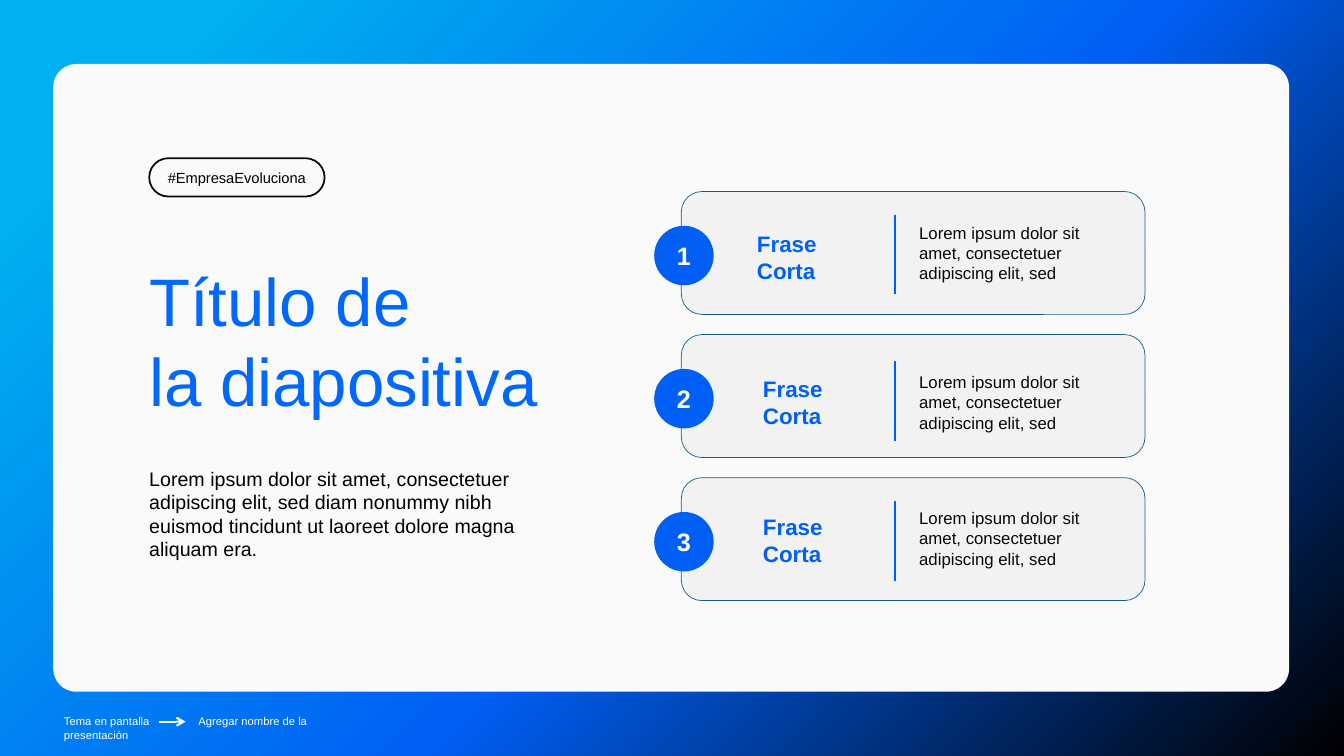
from copy import deepcopy
from lxml.etree import SubElement
from pptx import Presentation
from pptx.dml.color import RGBColor
from pptx.enum.shapes import MSO_CONNECTOR, MSO_SHAPE
from pptx.enum.text import MSO_ANCHOR, PP_ALIGN
from pptx.oxml.ns import qn
from pptx.util import Pt

BLUE = RGBColor(0x00, 0x5F, 0xF4)
TITLE = RGBColor(0x00, 0x67, 0xFF)
CYAN = RGBColor(0x00, 0xB0, 0xF0)
BLACK = RGBColor(0x00, 0x00, 0x00)
INK = RGBColor(0x0D, 0x06, 0x0C)
TEAL = RGBColor(0x15, 0x60, 0x82)
PAPER = RGBColor(0xFA, 0xFA, 0xFA)
GREY = RGBColor(0xF2, 0xF2, 0xF2)
WHITE = RGBColor(0xFF, 0xFF, 0xFF)

LOREM = "Lorem ipsum dolor sit amet, consectetuer adipiscing elit, sed"
# label left, label top, note top, rule top
ROWS = [
    (540.7, 164.2, 159.1, 153.4),
    (545, 267.8, 265.7, 257.8),
    (545, 366.5, 362.9, 357.8),
]
CARD_TOP, DISC_TOP, STEP = 136.8, 161.3, 102.2


class Deck:
    font = "Arial"
    space = 1.0

    def __init__(self, prs):
        self.slide = prs.slides.add_slide(prs.slide_layouts[5])
        self.shapes = self.slide.shapes

    def back(self, *stops):
        """Fill the background with a diagonal gradient of three stops."""
        fill = self.slide.background.fill
        fill.gradient()
        fill.gradient_angle = 315
        nodes = next(self.slide.element.iter(qn("a:gsLst")))
        nodes.append(deepcopy(nodes[-1]))
        for stop, (place, color) in zip(fill.gradient_stops, stops):
            stop.position = place
            stop.color.rgb = color

    def run(self, para, text, size, color, bold=False):
        run = para.add_run()
        run.text = text
        font = run.font
        font.name, font.size, font.bold = self.font, Pt(size), bold
        font.color.rgb = color

    def frame(self, shape, anchor=MSO_ANCHOR.TOP, align=PP_ALIGN.LEFT):
        """Clear the insets and return the first paragraph."""
        frame = shape.text_frame
        frame.word_wrap = True
        frame.vertical_anchor = anchor
        frame.margin_left = frame.margin_right = 0
        frame.margin_top = frame.margin_bottom = 0
        para = frame.paragraphs[0]
        para.alignment = align
        para.line_spacing = self.space
        para.space_before = Pt(0)
        return para

    def title(self, lines, box, size, color):
        shape = self.shapes.title
        shape.left, shape.top, shape.width, shape.height = map(Pt, box)
        para = self.frame(shape)
        for i, line in enumerate(lines):
            if i:
                para.add_line_break()
            self.run(para, line, size, color)

    def text(self, text, box, size, color, bold=False):
        para = self.frame(self.shapes.add_textbox(*map(Pt, box)))
        self.run(para, text, size, color, bold)
        return para

    def shape(self, kind, box, fill=None, line=None, width=1, round=None):
        shape = self.shapes.add_shape(kind, *map(Pt, box))
        shape.shadow.inherit = False
        if round is not None:
            shape.adjustments[0] = round
        if fill is None:
            shape.fill.background()
        else:
            shape.fill.solid()
            shape.fill.fore_color.rgb = fill
        if line is None:
            shape.line.fill.background()
        else:
            shape.line.color.rgb = line
            shape.line.width = Pt(width)
        return shape

    def label(self, shape, text, size, color, bold=False):
        """Write centred text inside a shape."""
        para = self.frame(shape, MSO_ANCHOR.MIDDLE, PP_ALIGN.CENTER)
        self.run(para, text, size, color, bold)

    def line(self, ends, color, arrow=False):
        line = self.shapes.add_connector(MSO_CONNECTOR.STRAIGHT, *map(Pt, ends))
        line.line.color.rgb = color
        line.line.width = Pt(1.5)
        if arrow:
            SubElement(line.line._get_or_add_ln(), qn("a:tailEnd"), type="arrow")
        SubElement(line.element.spPr, qn("a:effectLst"))


def main():
    prs = Presentation()
    prs.slide_width, prs.slide_height = Pt(960), Pt(540)
    deck = Deck(prs)
    deck.back((0.11, CYAN), (0.56, BLUE), (1, BLACK))

    panel = deck.shape(MSO_SHAPE.ROUNDED_RECTANGLE, (38, 45.7, 882.8, 448.4),
                       PAPER, round=0.037)
    deck.shapes.title.element.addprevious(panel.element)
    deck.title(["Título de", "la diapositiva"], (106.6, 185, 324.7, 116.6), 48, TITLE)

    tag = deck.shape(MSO_SHAPE.ROUNDED_RECTANGLE, (106.6, 113, 125.3, 27.4),
                     line=INK, width=1.25, round=0.5)
    deck.label(tag, "#EmpresaEvoluciona", 10.5, BLACK)
    deck.text("Lorem ipsum dolor sit amet, consectetuer adipiscing elit, sed diam "
              "nonummy nibh euismod tincidunt ut laoreet dolore magna aliquam era.",
              (106.6, 333.4, 280.8, 67.7), 14, BLACK)

    for i, (left, top, note, rule) in enumerate(ROWS):
        deck.shape(MSO_SHAPE.ROUNDED_RECTANGLE,
                   (486.7, CARD_TOP + i * STEP, 331.2, 87.8), GREY, TEAL, 0.5)
        disc = deck.shape(MSO_SHAPE.OVAL,
                          (467.3, DISC_TOP + i * STEP, 42.5, 42.5), BLUE)
        deck.label(disc, str(i + 1), 18, WHITE, True)
        deck.text("Frase Corta", (left, top, 74.2, 38.9), 16, BLUE, True)
        deck.line((639.4, rule, 639.4, rule + 56.9), BLUE)
        deck.text(LOREM, (656.6, note, 146.9, 43.9), 12, INK)

    foot = deck.text("Tema en pantalla\tAgregar nombre de la presentación",
                     (45.7, 510.5, 206, 19), 8, WHITE)
    tabs = SubElement(foot._p.get_or_add_pPr(), qn("a:tabLst"))
    SubElement(tabs, qn("a:tab"), pos=str(Pt(96)), algn="l")
    deck.line((113.8, 515.5, 132.5, 515.5), WHITE, True)

    prs.save("out.pptx")


if __name__ == "__main__":
    main()
